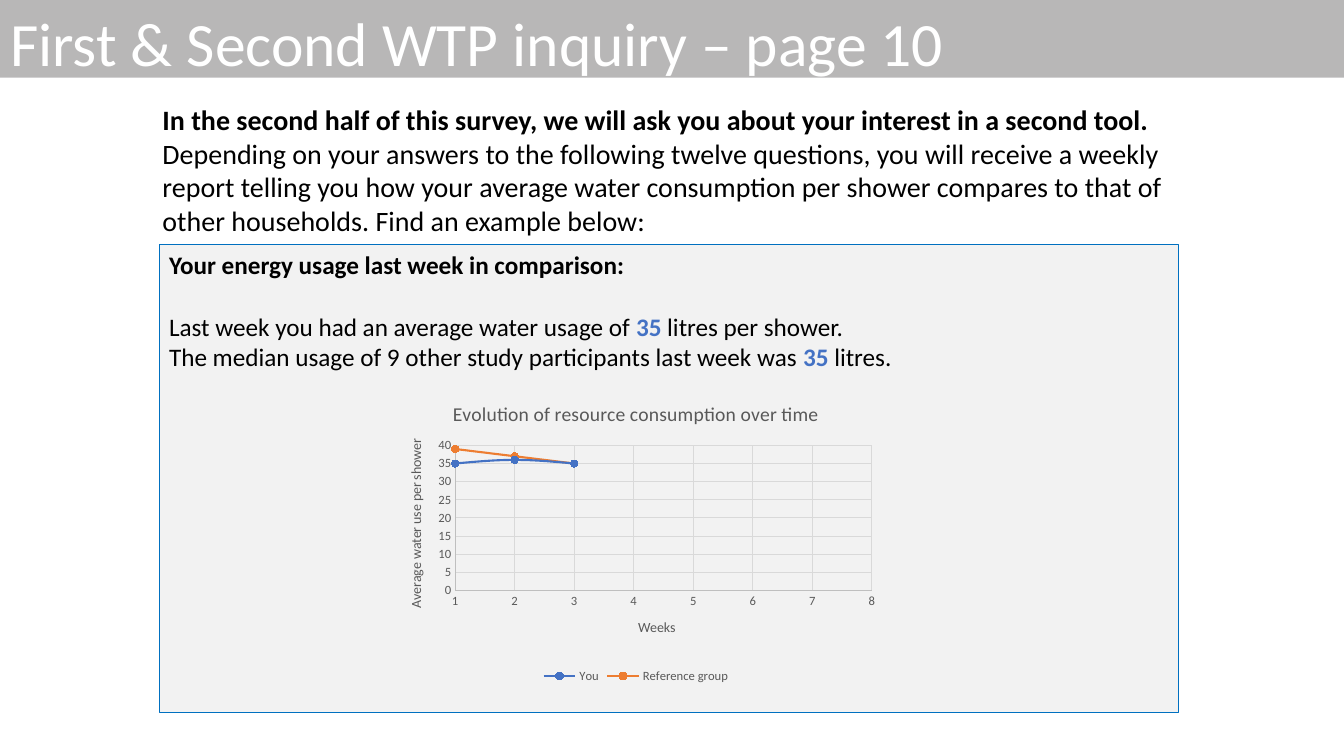
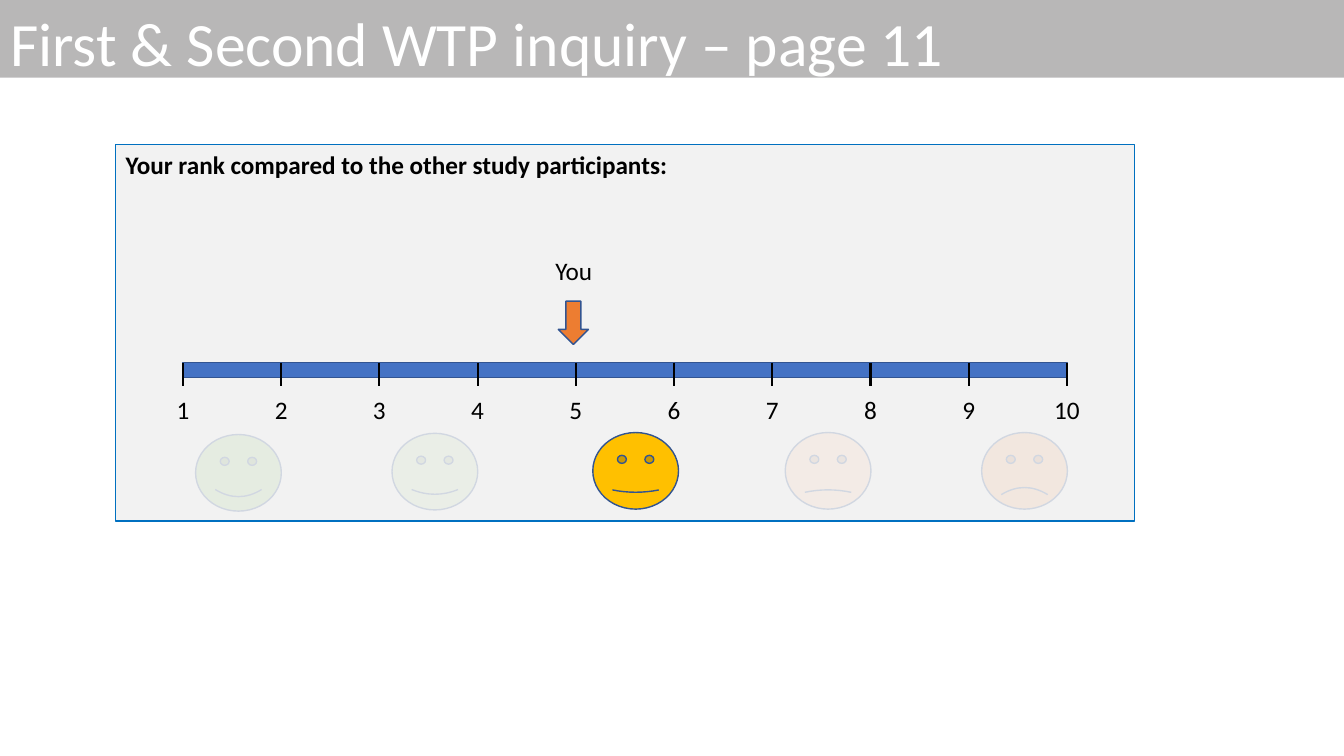
"""Build two survey slides: a consumption report and a rank scale."""
from dataclasses import dataclass
from typing import Optional

import lxml.etree
import pptx
import pptx.chart.axis
import pptx.chart.data
import pptx.dml.color
import pptx.enum.chart
import pptx.enum.shapes
import pptx.enum.text
import pptx.oxml.ns
import pptx.shapes.autoshape
import pptx.slide
import pptx.text.text
import pptx.util

Cm = pptx.util.Cm
Pt = pptx.util.Pt
qn = pptx.oxml.ns.qn
Preset = pptx.enum.shapes.MSO_SHAPE
Align = pptx.enum.text.PP_ALIGN


@dataclass(frozen=True)
class Theme:
    font: str = "Calibri"
    band: str = "A7A5A6"
    white: str = "FFFFFF"
    black: str = "000000"
    panel: str = "F2F2F2"
    panel_line: str = "0070C0"
    blue: str = "4472C4"
    dark_blue: str = "325491"
    orange: str = "ED7D31"
    grey_text: str = "595959"
    axis_line: str = "BFBFBF"
    grid: str = "D9D9D9"
    title_size: float = 44
    intro_size: float = 20
    text_size: float = 18
    chart_title_size: float = 14
    axis_title_size: float = 10
    tick_size: float = 9


@dataclass(frozen=True)
class Box:
    left: float
    top: float
    width: float
    height: float


@dataclass(frozen=True)
class Span:
    text: str
    bold: bool = False
    color: str = "000000"


@dataclass(frozen=True)
class Line:
    spans: tuple[Span, ...]
    space_before: float = 0


@dataclass(frozen=True)
class Face:
    left: float
    top: float
    smile: float
    color: str
    faded: bool = True


@dataclass(frozen=True)
class Series:
    name: str
    litres: tuple[int, ...]
    color: str


THEME = Theme()
SLIDE_WIDTH, SLIDE_HEIGHT = 33.87, 19.05
BAND = Box(0, 0, SLIDE_WIDTH, 1.96)
INTRO = Box(3.84, 2.46, 26.9, 3.68)
REPORT_PANEL = Box(4.01, 6.17, 25.68, 11.79)
CHART = Box(9.7, 9.7, 12.65, 7.62)
PLOT_SHARES = {"x": 0.14, "y": 0.2, "w": 0.83, "h": 0.48}
RANK_PANEL = Box(2.92, 3.63, 25.68, 9.5)
SCALE = Box(4.61, 9.14, 22.28, 0.38)
RANKS = 10
TICK_HEIGHT = 0.58
LABEL_TOP, LABEL_WIDTH, LABEL_HEIGHT = 9.8, 1.5, 1.02
FACE_WIDTH, FACE_HEIGHT = 2.16, 1.93
VEIL_WIDTH, VEIL_HEIGHT = 2.69, 2.18

INTRO_LINES = (
    Line((
        Span("In the second half of this survey, we will ask you about your "
             "interest in a second tool. ", True),
        Span("Depending on your answers to the following twelve questions, you will "
             "receive a weekly report telling you how your average water consumption "
             "per shower compares to that of other households. Find an example below:"),
    )),
)
REPORT_LINES = (
    Line((Span("Your energy usage last week in comparison:", True),)),
    Line((Span("Last week you had an average water usage of "),
          Span("35 ", True, THEME.blue), Span("litres per shower.")), 22),
    Line((Span("The median usage of 9 other study participants last week was "),
          Span("35 ", True, THEME.blue), Span("litres."))),
)
RANK_LINES = (
    Line((Span("Your rank compared to the other study participants:", True),)),
)
CONSUMPTION = (
    Series("You", (35, 36, 35), THEME.blue),
    Series("Reference group", (39, 37, 35), THEME.orange),
)
FACES = (
    Face(4.93, 10.95, 0.047, "A9D18E"),
    Face(9.88, 10.92, 0.031, "C5E0B4"),
    Face(14.94, 10.9, 0.015, "FFC000", False),
    Face(19.79, 10.9, -0.016, "F8CBAD"),
    Face(24.74, 10.9, -0.047, "F4B183"),
)


def rgb(color: str) -> pptx.dml.color.RGBColor:
    """Turn a hex string into a colour."""
    return pptx.dml.color.RGBColor.from_string(color)


def lengths(box: Box) -> tuple[int, ...]:
    """Give a box as left, top, width and height."""
    return Cm(box.left), Cm(box.top), Cm(box.width), Cm(box.height)


def style_font(font: pptx.text.text.Font, size: float, color: str,
               bold: bool = False) -> None:
    """Apply the theme font with a size, colour and weight."""
    font.name, font.size, font.bold = THEME.font, Pt(size), bold
    font.color.rgb = rgb(color)


def write_lines(frame: pptx.text.text.TextFrame, lines: tuple[Line, ...], size: float,
                align: Align = Align.LEFT, wrap: bool = True) -> None:
    """Fill a text frame run by run from its top edge."""
    frame.auto_size = pptx.enum.text.MSO_AUTO_SIZE.NONE
    frame.word_wrap = wrap
    frame.vertical_anchor = pptx.enum.text.MSO_ANCHOR.TOP
    for index, line in enumerate(lines):
        para = frame.add_paragraph() if index else frame.paragraphs[0]
        para.alignment, para.line_spacing = align, 1.0
        para.space_before, para.space_after = Pt(line.space_before), Pt(0)
        for span in line.spans:
            run = para.add_run()
            run.text = span.text
            style_font(run.font, size, span.color, span.bold)


def paint(shape: pptx.shapes.autoshape.Shape, color: str,
          opacity: Optional[int] = None) -> None:
    """Fill a shape, with opacity in percent when given."""
    shape.fill.solid()
    shape.fill.fore_color.rgb = rgb(color)
    if opacity is not None:
        tone = shape.element.spPr.find(f"{qn('a:solidFill')}/{qn('a:srgbClr')}")
        lxml.etree.SubElement(tone, qn("a:alpha")).set("val", str(opacity * 1000))


def add_block(page: pptx.slide.Slide, preset: Preset, box: Box, color: str,
              line: Optional[str] = None, weight: float = 1,
              opacity: Optional[int] = None) -> pptx.shapes.autoshape.Shape:
    """Draw a flat preset shape."""
    shape = page.shapes.add_shape(preset, *lengths(box))
    shape.shadow.inherit = False
    paint(shape, color, opacity)
    if line:
        shape.line.color.rgb = rgb(line)
        shape.line.width = Pt(weight)
    else:
        shape.line.fill.background()
    return shape


def add_panel(page: pptx.slide.Slide, box: Box, lines: tuple[Line, ...]) -> None:
    """Draw a light panel with text."""
    panel = add_block(page, Preset.RECTANGLE, box, THEME.panel, THEME.panel_line, 0.75)
    write_lines(panel.text_frame, lines, THEME.text_size)


def add_label(page: pptx.slide.Slide, text: str, center: float, top: float) -> None:
    """Write a short label centred on a horizontal position."""
    box = Box(center - LABEL_WIDTH / 2, top, LABEL_WIDTH, LABEL_HEIGHT)
    label = page.shapes.add_textbox(*lengths(box))
    write_lines(label.text_frame, (Line((Span(text),)),), THEME.text_size,
                Align.CENTER, False)


def place(shape: pptx.shapes.autoshape.Shape, box: Box) -> None:
    """Move and size a placeholder."""
    shape.left, shape.top, shape.width, shape.height = lengths(box)


def add_page(deck: pptx.presentation.Presentation, layout: int,
             number: int) -> pptx.slide.Slide:
    """Add a slide with the shared title band."""
    page = deck.slides.add_slide(deck.slide_layouts[layout])
    for holder in list(page.placeholders):
        if holder.placeholder_format.idx > 1:
            holder.element.getparent().remove(holder.element)
    title = page.shapes.title
    place(title, BAND)
    paint(title, THEME.band, 80)
    heading = Span(f"First & Second WTP inquiry – page {number}", color=THEME.white)
    write_lines(title.text_frame, (Line((heading,)),), THEME.title_size)
    return page


def style_axis(axis: pptx.chart.axis.ValueAxis, title: str, low: float, high: float,
               step: float) -> None:
    """Set the range, grid, line and texts of an axis."""
    axis.minimum_scale, axis.maximum_scale, axis.major_unit = low, high, step
    axis.major_tick_mark = axis.minor_tick_mark = pptx.enum.chart.XL_TICK_MARK.NONE
    axis.has_major_gridlines = True
    for line, color in ((axis.major_gridlines.format.line, THEME.grid),
                        (axis.format.line, THEME.axis_line)):
        line.color.rgb, line.width = rgb(color), Pt(0.75)
    style_font(axis.tick_labels.font, THEME.tick_size, THEME.grey_text)
    run = axis.axis_title.text_frame.paragraphs[0].add_run()
    run.text = title
    style_font(run.font, THEME.axis_title_size, THEME.grey_text)


def add_consumption_chart(page: pptx.slide.Slide) -> None:
    """Draw weekly water use as smooth lines."""
    data = pptx.chart.data.XyChartData()
    for series in CONSUMPTION:
        points = data.add_series(series.name)
        for week, litres in enumerate(series.litres, 1):
            points.add_data_point(week, litres)
    chart = page.shapes.add_chart(pptx.enum.chart.XL_CHART_TYPE.XY_SCATTER_SMOOTH,
                                  *lengths(CHART), data).chart
    style_font(chart.font, THEME.axis_title_size, THEME.black)
    run = chart.chart_title.text_frame.paragraphs[0].add_run()
    run.text = "Evolution of resource consumption over time"
    style_font(run.font, THEME.chart_title_size, THEME.grey_text)
    chart.chart_title.include_in_layout = False
    style_axis(chart.category_axis, "Weeks", 1, 8, 1)
    style_axis(chart.value_axis, "Average water use per shower", 0, 40, 5)
    chart.has_legend = True
    chart.legend.position = pptx.enum.chart.XL_LEGEND_POSITION.BOTTOM
    chart.legend.include_in_layout = False
    style_font(chart.legend.font, THEME.tick_size, THEME.grey_text)
    plot = chart.plots[0]
    plot.vary_by_categories = False
    for drawn, series in zip(plot.series, CONSUMPTION):
        drawn.format.line.color.rgb = rgb(series.color)
        drawn.format.line.width = Pt(1.5)
        drawn.marker.style = pptx.enum.chart.XL_MARKER_STYLE.CIRCLE
        drawn.marker.size = 5
        drawn.marker.format.fill.solid()
        drawn.marker.format.fill.fore_color.rgb = rgb(series.color)
        drawn.marker.format.line.color.rgb = rgb(series.color)
        for smooth in drawn._element.findall(qn("c:smooth")):
            smooth.set("val", "1")
    area = chart._chartSpace.chart.plotArea
    for layout in area.findall(qn("c:layout")):
        area.remove(layout)
    layout = lxml.etree.Element(qn("c:layout"))
    area.insert(0, layout)
    manual = lxml.etree.SubElement(layout, qn("c:manualLayout"))
    settings = {"layoutTarget": "inner", "xMode": "edge", "yMode": "edge", **PLOT_SHARES}
    for name, value in settings.items():
        lxml.etree.SubElement(manual, qn(f"c:{name}")).set("val", str(value))


def add_scale(page: pptx.slide.Slide) -> None:
    """Draw the rank bar with evenly spaced ticks and numbers."""
    add_block(page, Preset.RECTANGLE, SCALE, THEME.blue, THEME.dark_blue)
    for rank in range(RANKS):
        center = SCALE.left + rank * SCALE.width / (RANKS - 1)
        tick = page.shapes.add_connector(
            pptx.enum.shapes.MSO_CONNECTOR.STRAIGHT, Cm(center), Cm(SCALE.top),
            Cm(center), Cm(SCALE.top + TICK_HEIGHT))
        tick.line.color.rgb, tick.line.width = rgb(THEME.black), Pt(1.5)
        lxml.etree.SubElement(tick._element.spPr, qn("a:effectLst"))
        add_label(page, str(rank + 1), center, LABEL_TOP)


def add_face(page: pptx.slide.Slide, face: Face) -> None:
    """Draw a face, veiled when it is not the current one."""
    box = Box(face.left, face.top, FACE_WIDTH, FACE_HEIGHT)
    shape = add_block(page, Preset.SMILEY_FACE, box, face.color, THEME.dark_blue)
    shape.adjustments[0] = face.smile
    if face.faded:
        veil = Box(face.left - (VEIL_WIDTH - FACE_WIDTH) / 2,
                   face.top - (VEIL_HEIGHT - FACE_HEIGHT) / 2, VEIL_WIDTH, VEIL_HEIGHT)
        add_block(page, Preset.RECTANGLE, veil, THEME.panel, opacity=83)


def build_report_page(deck: pptx.presentation.Presentation) -> None:
    """Build the slide with the weekly report."""
    page = add_page(deck, 1, 10)
    intro = page.placeholders[1]
    place(intro, INTRO)
    write_lines(intro.text_frame, INTRO_LINES, THEME.intro_size)
    for para in intro.text_frame.paragraphs:
        properties = para._p.get_or_add_pPr()
        properties.set("marL", "0")
        properties.set("indent", "0")
        lxml.etree.SubElement(properties, qn("a:buNone"))
    add_panel(page, REPORT_PANEL, REPORT_LINES)
    add_consumption_chart(page)


def build_rank_page(deck: pptx.presentation.Presentation) -> None:
    """Build the slide with the rank scale."""
    page = add_page(deck, 5, 11)
    add_panel(page, RANK_PANEL, RANK_LINES)
    add_scale(page)
    add_block(page, Preset.DOWN_ARROW, Box(14.07, 7.59, 0.76, 1.09), THEME.orange,
              THEME.dark_blue)
    add_label(page, "You", 14.46, 6.3)
    for face in FACES:
        add_face(page, face)


def main() -> None:
    """Build and save the deck."""
    deck = pptx.Presentation()
    deck.slide_width, deck.slide_height = Cm(SLIDE_WIDTH), Cm(SLIDE_HEIGHT)
    build_report_page(deck)
    build_rank_page(deck)
    deck.save("out.pptx")


main()
